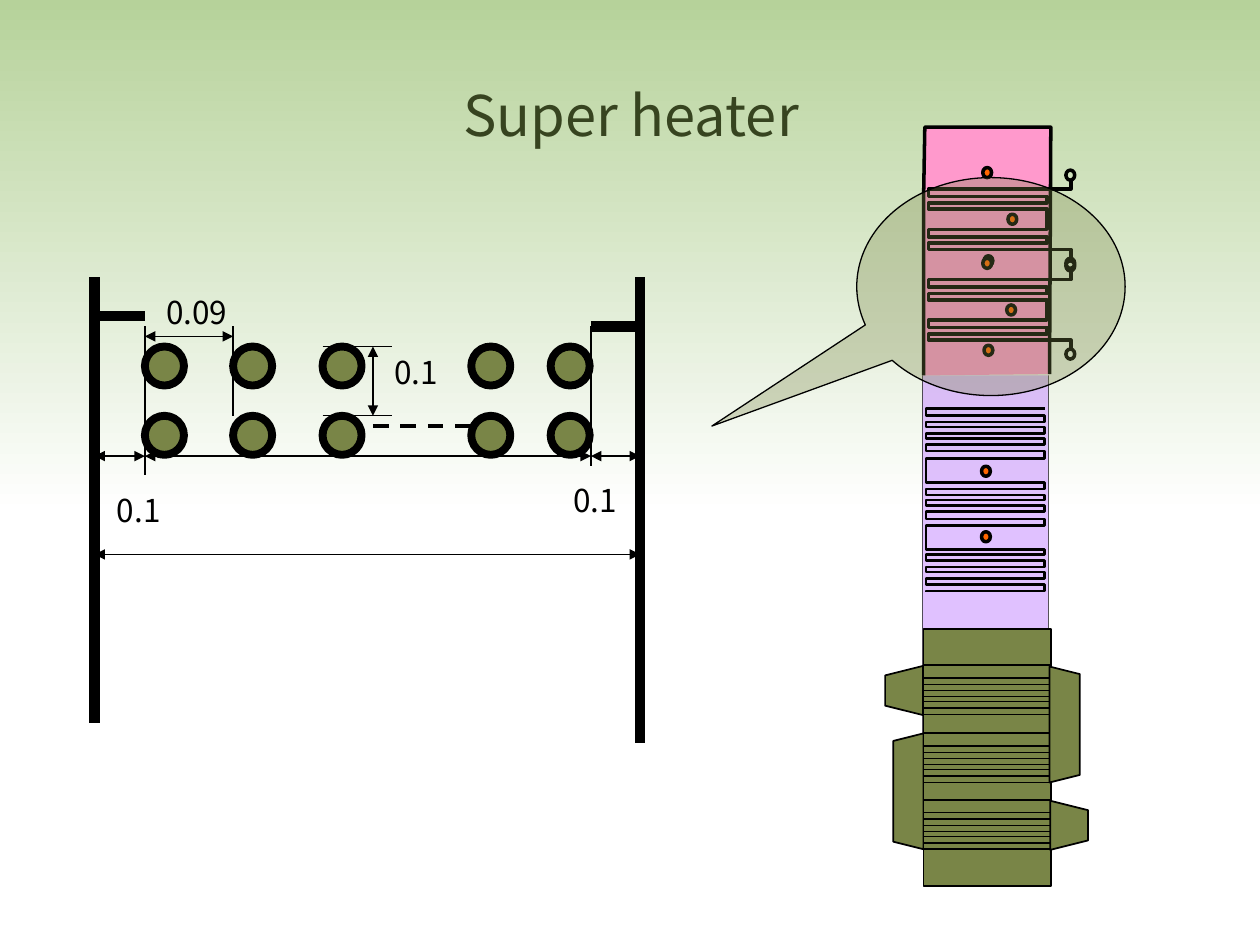
from lxml import etree
from pptx import Presentation
from pptx.dml.color import RGBColor
from pptx.enum import dml, shapes, text
from pptx.oxml.ns import qn
from pptx.util import Pt

PX = 9144  # EMU per px, 100 px to the inch
BLACK, OLIVE, FLAME = "000000", "798547", "FF6600"
KIND = shapes.MSO_SHAPE


def rgb(code):
    return RGBColor.from_string(code)


class Pen:
    font = "Noto Sans CJK KR"

    def __init__(self, slide):
        self.slide = slide
        self.set = slide.shapes

    def group(self):
        self.set = self.slide.shapes.add_group_shape().shapes

    def ungroup(self):
        self.set = self.slide.shapes

    def paint(self, item, fill, width, alpha=None):
        item.shadow.inherit = False
        if fill:
            item.fill.solid()
            item.fill.fore_color.rgb = rgb(fill)
        else:
            item.fill.background()
        if alpha:
            tone = item.fill._xPr.find(".//" + qn("a:srgbClr"))
            etree.SubElement(tone, qn("a:alpha")).set("val", str(alpha * 1000))
        if width:
            item.line.color.rgb = rgb(BLACK)
            item.line.width = Pt(width)
        else:
            item.line.fill.background()
        return item

    def shape(self, kind, box, fill=None, width=1, turn=0, alpha=None):
        item = self.set.add_shape(kind, *[n * PX for n in box])
        item.rotation = turn
        return self.paint(item, fill, width, alpha)

    def free(self, points, fill=None, width=2, alpha=None):
        path = self.set.build_freeform(*points[0], scale=PX)
        path.add_line_segments(points[1:], close=False)
        self.paint(path.convert_to_shape(), fill, width, alpha)

    def coil(self, start, end, rows, left, right, width):
        """Tube that runs to and fro, one pass for each row."""
        points, x = [start], start[0]
        for y in rows:
            points.append((x, y))
            x = right if x == left else left
            if y == rows[-1]:
                x = end[0]
            points.append((x, y))
        self.free(points + [end], width=width)

    def line(self, x1, y1, x2, y2, width=0.75, arrows=False, dash=False):
        item = self.set.add_connector(
            shapes.MSO_CONNECTOR.STRAIGHT, *[n * PX for n in (x1, y1, x2, y2)])
        etree.SubElement(item._element.spPr, qn("a:effectLst"))
        item.line.color.rgb = rgb(BLACK)
        item.line.width = Pt(width)
        if dash:
            item.line.dash_style = dml.MSO_LINE.DASH
        if arrows:
            stroke = item.line._get_or_add_ln()
            for end in ("a:headEnd", "a:tailEnd"):
                etree.SubElement(stroke, qn(end)).set("type", "triangle")

    def label(self, words, box, size=18, color=BLACK, title=False):
        frame = self.set.add_textbox(*[n * PX for n in box]).text_frame
        frame.word_wrap = True
        frame.text = words
        para = frame.paragraphs[0]
        if title:
            frame.vertical_anchor = text.MSO_ANCHOR.MIDDLE
            para.alignment = text.PP_ALIGN.CENTER
        face = para.runs[0].font
        face.name, face.size, face.color.rgb = self.font, Pt(size), rgb(color)


def boiler(pen):
    pen.group()
    # Chamber walls
    pen.free([(832, 298), (832, 600), (798, 621), (765, 621), (732, 601),
              (732, 298)], "CC99FF", 0.25, alpha=60)
    pen.free([(733, 298), (733, 158), (734, 101), (834, 101), (833, 297)],
             "FF99CC")

    # Upper coils with their end rings
    for top in (143, 215):
        pen.shape(KIND.OVAL, (846, top - 8, 7, 8), width=2)
        pen.coil((850, top), (831, top + 30),
                 [top + n for n in (7, 13, 18, 23)], 737, 831, 2)
        pen.shape(KIND.OVAL, (846, top + 62, 7, 8), width=2)
        pen.coil((831, top + 30), (850, top + 62),
                 [top + n for n in (39, 45, 50, 55)], 737, 831, 2)

    # Lower coils
    for start, end, rows in (
            ((829, 324), (735, 380),
             (324, 330, 335, 339, 344, 348, 353, 358, 364)),
            ((735, 377), (735, 433),
             (383, 388, 393, 397, 401, 406, 412, 417)),
            ((735, 430), (735, 470),
             (436, 440, 445, 450, 454, 459, 464, 469))):
        pen.coil(start, end, rows, 735, 829, 1.5)

    # Burners
    for x, y in ((780, 133), (781, 203), (779, 370), (779, 422), (800, 170),
                 (780, 205), (781, 274), (799, 242)):
        pen.shape(KIND.OVAL, (x, y, 7, 8), FLAME, 2)

    # Base with side ducts and ribbed panels
    panels = (528, 582, 635)
    pen.shape(KIND.TRAPEZOID, (675, 616, 92, 24), OLIVE, turn=270)
    pen.shape(KIND.RECTANGLE, (733, 499, 101, 204), OLIVE)
    for top in panels:
        pen.shape(KIND.RECTANGLE, (733, top, 101, 39), OLIVE)
    for box, turn in (((799, 563, 92, 24), 90), ((698, 533, 39, 30), 270),
                      ((829, 640, 39, 30), 90)):
        pen.shape(KIND.TRAPEZOID, box, OLIVE, turn=turn)
    for top in panels:
        for rib in (10, 15, 20, 25, 29, 34):
            pen.line(733, top + rib, 833, top + rib)


def tubes(pen):
    pen.group()
    # Walls and brackets
    for ends in ((75, 220, 75, 574), (508, 220, 508, 590),
                 (75, 251, 115, 251), (469, 259, 508, 259)):
        pen.line(*ends, width=6)

    # Tube rows
    for x in (115, 185, 256, 374, 437):
        for y in (275, 330):
            pen.shape(KIND.OVAL, (x, y, 31, 31), OLIVE, 4.5)
    pen.line(296, 338, 374, 338, width=2.25, dash=True)

    # Guide lines
    for ends in ((115, 259, 115, 377), (469, 259, 469, 370),
                 (185, 259, 185, 330), (256, 275, 311, 275),
                 (256, 330, 311, 330)):
        pen.line(*ends)

    # Dimensions
    for ends in ((75, 362, 115, 362), (469, 362, 508, 362),
                 (115, 362, 469, 362), (75, 440, 508, 440),
                 (115, 267, 185, 267), (296, 275, 296, 330)):
        pen.line(*ends, arrows=True)
    for words, box in (("0.1", (83, 385, 57, 40)), ("0.1", (445, 377, 57, 40)),
                       ("0.09", (122, 228, 79, 40)),
                       ("0.1", (303, 275, 63, 40))):
        pen.label(words, box)


def main():
    deck = Presentation()
    deck.slide_width, deck.slide_height = 1000 * PX, 750 * PX
    pen = Pen(deck.slides.add_slide(deck.slide_layouts[6]))

    # Backdrop fading to white
    fade = pen.shape(KIND.RECTANGLE, (0, 0, 1000, 408), width=0).fill
    fade.gradient()
    fade.gradient_angle = 270
    for stop, tone in zip(fade.gradient_stops, ("B6D29A", "FFFFFF")):
        stop.color.rgb = rgb(tone)

    boiler(pen)
    pen.ungroup()
    pen.label("Super heater", (51, 28, 900, 125), 32, "374420", title=True)
    tubes(pen)

    # Callout over the upper coils
    pen.ungroup()
    note = pen.shape(KIND.OVAL_CALLOUT, (680, 141, 213, 173), OLIVE, 0.75,
                     alpha=31)
    note.adjustments[0], note.adjustments[1] = -1.04, 0.64
    deck.save("out.pptx")


if __name__ == "__main__":
    main()
